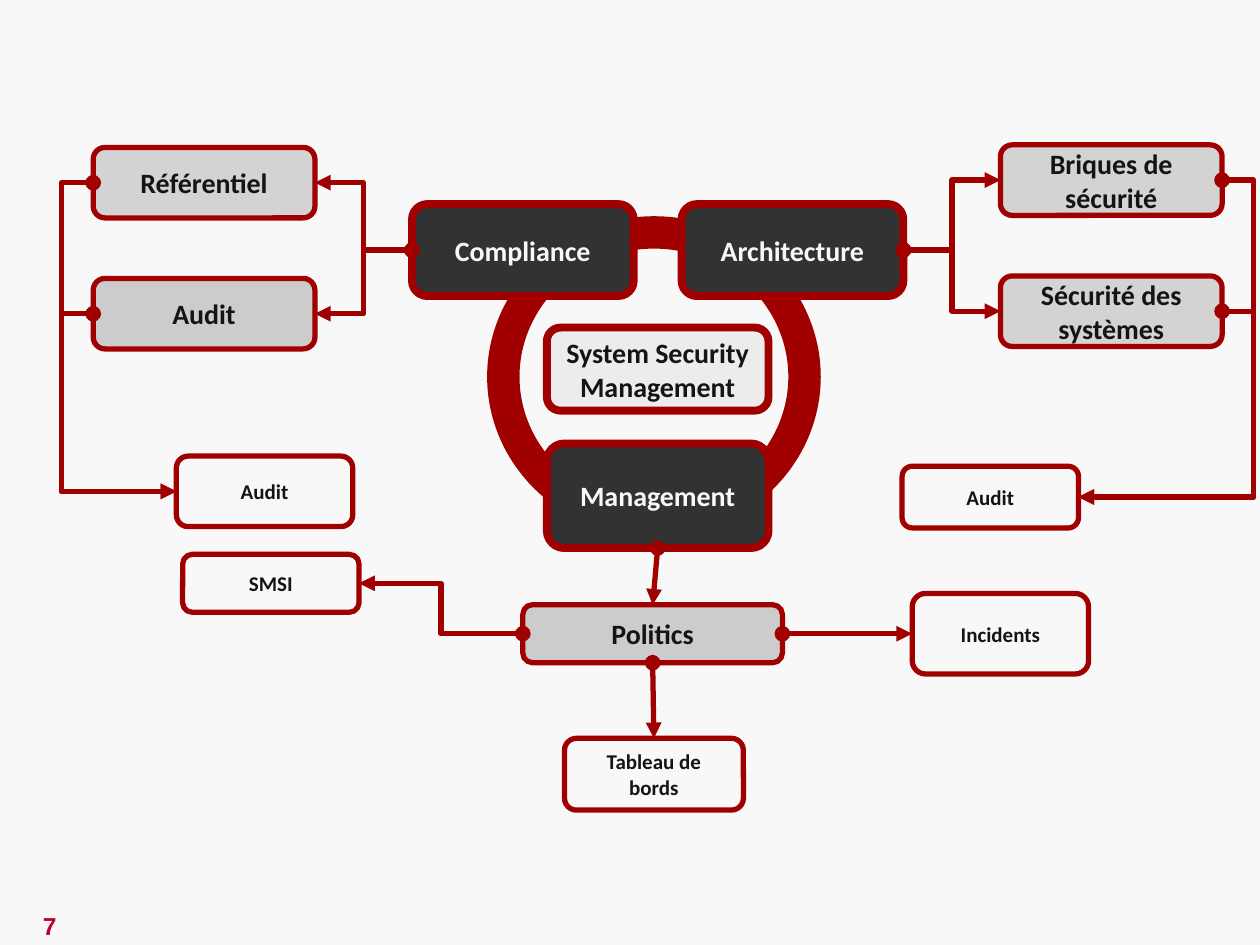
from lxml.etree import SubElement
from pptx import Presentation
from pptx.dml.color import RGBColor
from pptx.enum.shapes import MSO_CONNECTOR, MSO_SHAPE
from pptx.enum.text import MSO_ANCHOR, PP_ALIGN
from pptx.oxml.ns import qn
from pptx.util import Inches, Pt

COLORS = {
    "background": "F8F8F8",
    "red": "A00000",
    "number": "BC002B",
    "dark": "323232",
    "ink": "141414",
    "gray": "CCCCCC",
    "silver": "D3D3D3",
    "pale": "ECECEC",
}
TOP, LEFT, BOTTOM, RIGHT = range(4)
TOPIC_W, TOPIC_H, TOPIC_PITCH = 1.76, 0.56, 1.04
LEAF_W = 1.4
BUS_GAP = 0.25


def color(name):
    return RGBColor.from_string(COLORS[name])


def outlined(slide, preset, at, fill, weight):
    shape = slide.shapes.add_shape(preset, *map(Inches, at))
    shape.shadow.inherit = False
    shape.fill.solid()
    shape.fill.fore_color.rgb = color(fill)
    shape.line.color.rgb = color("red")
    shape.line.width = Pt(weight)
    return shape


def write(shape, lines, size, ink, font="Calibri"):
    frame = shape.text_frame
    frame.word_wrap = True
    frame.vertical_anchor = MSO_ANCHOR.MIDDLE
    frame.text = lines
    for paragraph in frame.paragraphs:
        paragraph.alignment = PP_ALIGN.CENTER
        paragraph.font.name = font
        paragraph.font.size = Pt(size)
        paragraph.font.bold = True
        paragraph.font.color.rgb = color(ink)


def node(slide, at, lines, fill, weight=3, size=16, ink="ink"):
    shape = outlined(slide, MSO_SHAPE.ROUNDED_RECTANGLE, at, fill, weight)
    write(shape, lines, size, ink)
    return shape


def pillar(slide, at, label):
    return node(slide, at, label, "dark", weight=4.5, ink="background")


def leaf(slide, at, label):
    return node(slide, at, label, "background", size=12)


def link(slide, source, source_side, target, target_side,
         kind=MSO_CONNECTOR.ELBOW, bend=None):
    connector = slide.shapes.add_connector(kind, 0, 0, 0, 0)
    connector.begin_connect(source, source_side)
    connector.end_connect(target, target_side)
    connector.line.color.rgb = color("red")
    connector.line.width = Pt(3)
    properties = connector._element.spPr
    line = properties.find(qn("a:ln"))
    SubElement(line, qn("a:headEnd"), type="oval")
    SubElement(line, qn("a:tailEnd"), type="triangle")
    SubElement(properties, qn("a:effectLst"))
    if bend is not None:
        guides = properties.find(qn("a:prstGeom")).get_or_add_avLst()
        SubElement(guides, qn("a:gd"), name="adj1", fmla=f"val {round(bend * 100000)}")


def add_core(slide, box):
    left, top, width, height = box
    ring = outlined(slide, MSO_SHAPE.DONUT, (left + 0.61, top + 0.11, 2.62, 2.52), "red", 2)
    ring.adjustments[0] = 0.091
    pillar_w, pillar_h, management_h = 1.76, 0.73, 0.83
    middle = left + (width - pillar_w) / 2
    compliance = pillar(slide, (left, top, pillar_w, pillar_h), "Compliance")
    architecture = pillar(
        slide, (left + width - pillar_w, top, pillar_w, pillar_h), "Architecture")
    management = pillar(
        slide, (middle, top + height - management_h, pillar_w, management_h), "Management")
    node(slide, (middle, top + 0.98, pillar_w, 0.66),
         "System Security\nManagement", "pale", weight=4.5)
    return compliance, architecture, management


def add_side_branch(slide, box, hub, topics, outer, leaf_h):
    left, top, width, height = box
    if outer == LEFT:
        inner, topic_left, leaf_left = RIGHT, left + BUS_GAP, left + width - LEAF_W
        run = leaf_left - topic_left
    else:
        inner, topic_left, leaf_left = LEFT, left + width - BUS_GAP - TOPIC_W, left
        run = topic_left + TOPIC_W - leaf_left - LEAF_W
    audit = leaf(slide, (leaf_left, top + height - leaf_h, LEAF_W, leaf_h), "Audit")
    for row, (label, fill) in enumerate(topics):
        at = (topic_left, top + row * TOPIC_PITCH, TOPIC_W, TOPIC_H)
        topic = node(slide, at, label, fill)
        link(slide, hub, outer, topic, inner)
        link(slide, topic, outer, audit, outer, bend=-BUS_GAP / run)


def add_politics_branch(slide, box, management):
    left, top, width, height = box
    politics = node(slide, (left + 2.7, top + 0.4, 2.06, 0.46), "Politics", "gray")
    smsi = leaf(slide, (left, top, LEAF_W, 0.46), "SMSI")
    incidents = leaf(slide, (left + width - LEAF_W, top + 0.31, LEAF_W, 0.64), "Incidents")
    dashboard = leaf(slide, (left + 3.03, top + height - 0.57, 1.42, 0.57), "Tableau de bords")
    link(slide, politics, LEFT, smsi, RIGHT)
    link(slide, politics, RIGHT, incidents, LEFT)
    link(slide, politics, BOTTOM, dashboard, TOP, MSO_CONNECTOR.STRAIGHT)
    link(slide, management, BOTTOM, politics, TOP, MSO_CONNECTOR.STRAIGHT)


def add_page_number(slide, box):
    number = slide.shapes.add_textbox(*map(Inches, box))
    write(number, "7", 14, "number", "Arial")


def main():
    presentation = Presentation()
    presentation.slide_width = Inches(10)
    presentation.slide_height = Inches(7.5)
    slide = presentation.slides.add_slide(presentation.slide_layouts[6])
    slide.background.fill.solid()
    slide.background.fill.fore_color.rgb = color("background")

    add_page_number(slide, (-0.02, 7.18, 0.83, 0.34))
    compliance, architecture, management = add_core(slide, (3.27, 1.62, 3.9, 2.73))
    add_side_branch(slide, (0.49, 1.17, 2.31, 3.01), compliance,
                    [("Référentiel", "silver"), ("Audit", "gray")], LEFT, 0.56)
    add_side_branch(slide, (7.16, 1.15, 2.79, 3.04), architecture,
                    [("Briques de sécurité", "silver"),
                     ("Sécurité des systèmes", "silver")], RIGHT, 0.49)
    add_politics_branch(slide, (1.45, 4.4, 7.19, 2.03), management)
    presentation.save("out.pptx")


if __name__ == "__main__":
    main()
